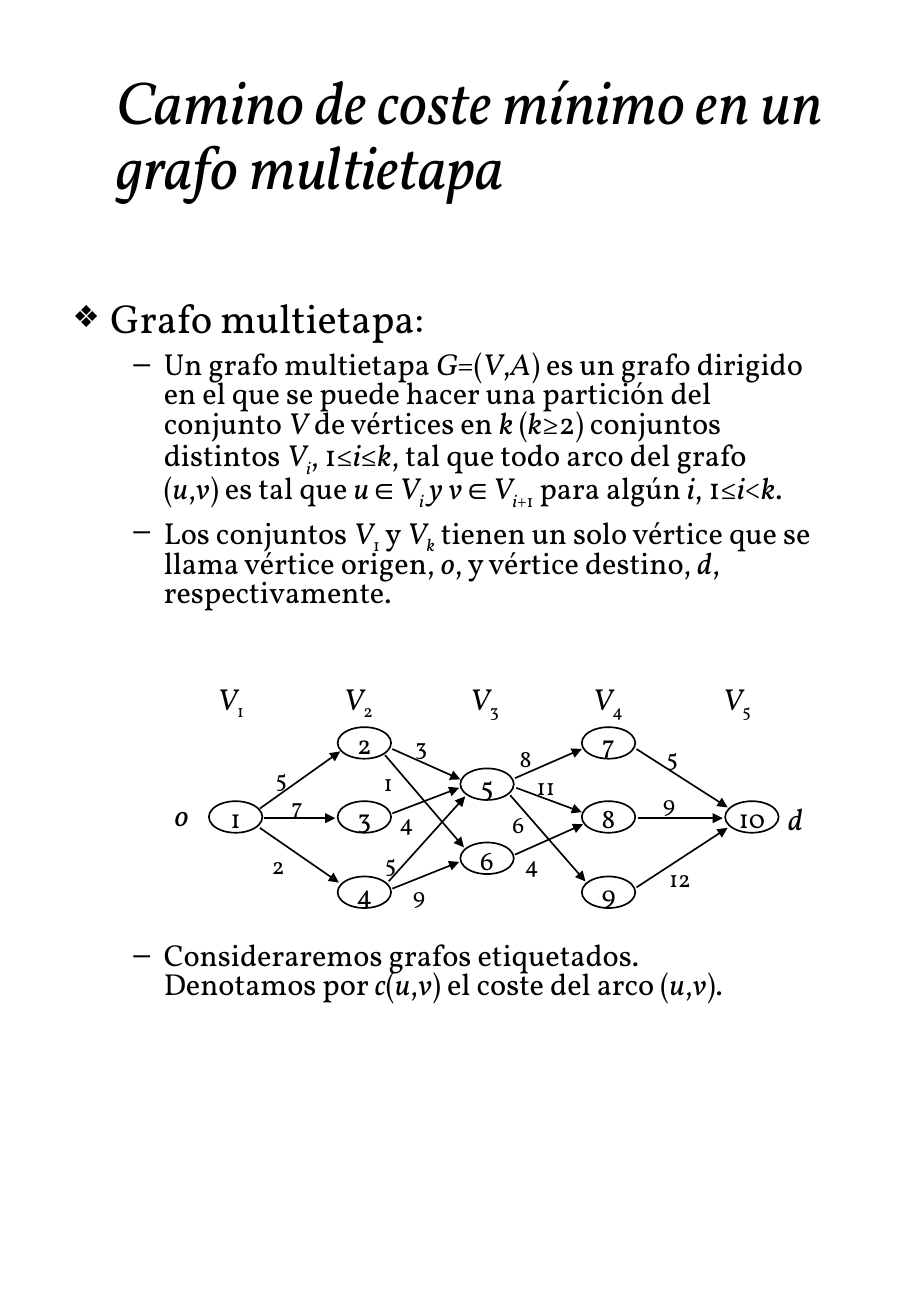
from lxml.etree import SubElement
from pptx import Presentation
from pptx.dml.color import RGBColor
from pptx.enum.shapes import MSO_CONNECTOR, MSO_SHAPE
from pptx.enum.text import MSO_ANCHOR, MSO_AUTO_SIZE, PP_ALIGN
from pptx.oxml.ns import qn
from pptx.util import Emu, Pt

# Content: *...* is italic, _..._ is subscript
TITLE = "*Camino de coste mínimo en un grafo multietapa*"
# text, size, space before, line start, hanging indent, bullet, bullet percent
BODY = [
    ("Grafo multietapa:", 24, 0, 31, 31, "❖", 75),
    ("Un grafo multietapa *G*=(*V*,*A*) es un grafo dirigido en el que se puede "
     "hacer una partición del conjunto *V* de vértices en *k* (*k*≥2) conjuntos \n"
     "distintos *V_i_*, 1≤*i*≤*k*, tal que todo arco del grafo \n"
     "(*u*,*v*) es tal que *u*∈*V_i_ y v*∈*V_i_*_+1_ para algún *i*, 1≤*i*<*k*.",
     18, 6.8, 75, 25, "–", 100),
    ("Los conjuntos *V*_1_ y *V_k_* tienen un solo vértice que se llama vértice "
     "origen, *o*, y vértice destino, *d*, respectivamente.",
     18, 6.8, 75, 25, "–", 100),
    ("Consideraremos grafos etiquetados.\n"
     "Denotamos por *c*(*u*,*v*) el coste del arco (*u*,*v*).",
     18, 198, 75, 25, "–", 100),
]
STAGE_LABEL_LEFTS = [169, 273, 377, 478, 585]
# stage left, tops of its nodes; nodes are numbered in this order
STAGES = [
    (172, [660]),
    (278, [599, 660, 722]),
    (379, [633, 694]),
    (479, [599, 660, 722]),
    (597, [660]),
]
# arc start, arc end, cost, cost label corner
ARCS = [
    ((214, 666), (280, 619), "5", (217, 624)),
    ((217, 674), (276, 674), "7", (230, 647)),
    ((214, 682), (279, 727), "2", (214, 696)),
    ((323, 617), (379, 642), "3", (332, 598)),
    ((317, 622), (382, 698), "1", (306, 628)),
    ((323, 670), (378, 649), "4", (319, 661)),
    ((320, 726), (383, 656), "5", (307, 694)),
    ((323, 732), (378, 710), "9", (330, 721)),
    ((424, 641), (479, 617), "8", (418, 608)),
    ((425, 649), (479, 669), "11", (432, 631)),
    ((420, 655), (482, 726), "6", (412, 662)),
    ((424, 704), (480, 679), "4", (422, 695)),
    ((524, 617), (599, 665), "5", (539, 607)),
    ((525, 674), (595, 674), "9", (536, 645)),
    ((524, 731), (599, 682), "12", (541, 707)),
]
END_LABELS = [("*o*", 134, 651), ("*d*", 639, 654)]

FONT, SYMBOL_FONT = "Vollkorn", "Arial"
BLACK = RGBColor(0, 0, 0)
SCALE = 9144  # EMU per px, 100 px to the inch


def px(length):
    return Emu(length * SCALE)


def write(paragraph, text, size):
    paragraph.font.name = FONT
    paragraph.font.size = Pt(size)
    paragraph.font.color.rgb = BLACK
    for i, piece in enumerate(text.split("*")):
        for j, part in enumerate(piece.split("_")):
            for k, line in enumerate(part.split("\n")):
                if k:
                    paragraph.add_line_break()
                if not line:
                    continue
                run = paragraph.add_run()
                run.text = line
                run.font.italic = i % 2 == 1
                if j % 2:
                    run.font._element.set("baseline", "-25000")
                if line == "∈":
                    run.font.name = SYMBOL_FONT


def add_box(shapes, left, top, width, height):
    frame = shapes.add_textbox(px(left), px(top), px(width), px(height)).text_frame
    frame.word_wrap = True
    return frame


def add_label(shapes, text, size, left, top, width, height):
    frame = add_box(shapes, left, top, width, height)
    frame.word_wrap = False
    frame.auto_size = MSO_AUTO_SIZE.SHAPE_TO_FIT_TEXT
    write(frame.paragraphs[0], text, size)


def add_bullet(paragraph, start, hanging, bullet, percent):
    properties = paragraph._p.get_or_add_pPr()
    properties.set("marL", str(px(start)))
    properties.set("indent", str(px(-hanging)))
    color = SubElement(properties, qn("a:buClr"))
    SubElement(color, qn("a:srgbClr"), val=str(BLACK))
    SubElement(properties, qn("a:buSzPct"), val=str(percent * 1000))
    SubElement(properties, qn("a:buFont"), typeface=SYMBOL_FONT)
    SubElement(properties, qn("a:buChar"), char=bullet)


def add_node(shapes, number, left, top):
    node = shapes.add_shape(MSO_SHAPE.OVAL, px(left), px(top), px(44), px(26))
    node.shadow.inherit = False
    node.fill.background()
    node.line.color.rgb = BLACK
    node.line.width = Pt(1)
    frame = node.text_frame
    frame.margin_left = frame.margin_right = frame.margin_bottom = 0
    frame.margin_top = px(2)
    frame.word_wrap = False
    frame.vertical_anchor = MSO_ANCHOR.MIDDLE
    frame.paragraphs[0].alignment = PP_ALIGN.CENTER
    write(frame.paragraphs[0], str(number), 16)


def add_arc(shapes, start, end):
    arc = shapes.add_connector(MSO_CONNECTOR.STRAIGHT, *map(px, start + end))
    arc.line.color.rgb = BLACK
    arc.line.width = Pt(1)
    SubElement(arc.line._get_or_add_ln(), qn("a:tailEnd"), type="triangle")
    SubElement(arc._element.spPr, qn("a:effectLst"))


def main():
    presentation = Presentation()
    presentation.slide_width, presentation.slide_height = px(750), px(1084)
    slide = presentation.slides.add_slide(presentation.slide_layouts[6])

    # Title
    title = add_box(slide.shapes, 86, 34, 647, 158)
    title.vertical_anchor = MSO_ANCHOR.MIDDLE
    title.paragraphs[0].line_spacing = 0.9
    write(title.paragraphs[0], TITLE, 36)

    # Definitions, with room for the graph before the last one
    body = add_box(slide.shapes, 50, 244, 642, 717)
    for index, (text, size, before, *bullet) in enumerate(BODY):
        paragraph = body.add_paragraph() if index else body.paragraphs[0]
        paragraph.line_spacing = 0.8
        paragraph.space_before = Pt(before)
        add_bullet(paragraph, *bullet)
        write(paragraph, text, size)

    # Graph: nodes by stage, arcs with costs, labels
    graph = slide.shapes.add_group_shape().shapes
    nodes = [(left, top) for left, tops in STAGES for top in tops]
    for number, (left, top) in enumerate(nodes, 1):
        add_node(graph, number, left, top)
    for start, end, cost, corner in ARCS:
        add_arc(graph, start, end)
        add_label(graph, cost, 14, *corner, 20 + 11 * len(cost), 33)
    for stage, left in enumerate(STAGE_LABEL_LEFTS, 1):
        add_label(graph, f"*V*_{stage}_", 18, left, 555, 45, 44)
    for text, left, top in END_LABELS:
        add_label(graph, text, 18, left, top, 34, 40)

    presentation.save("out.pptx")


if __name__ == "__main__":
    main()
